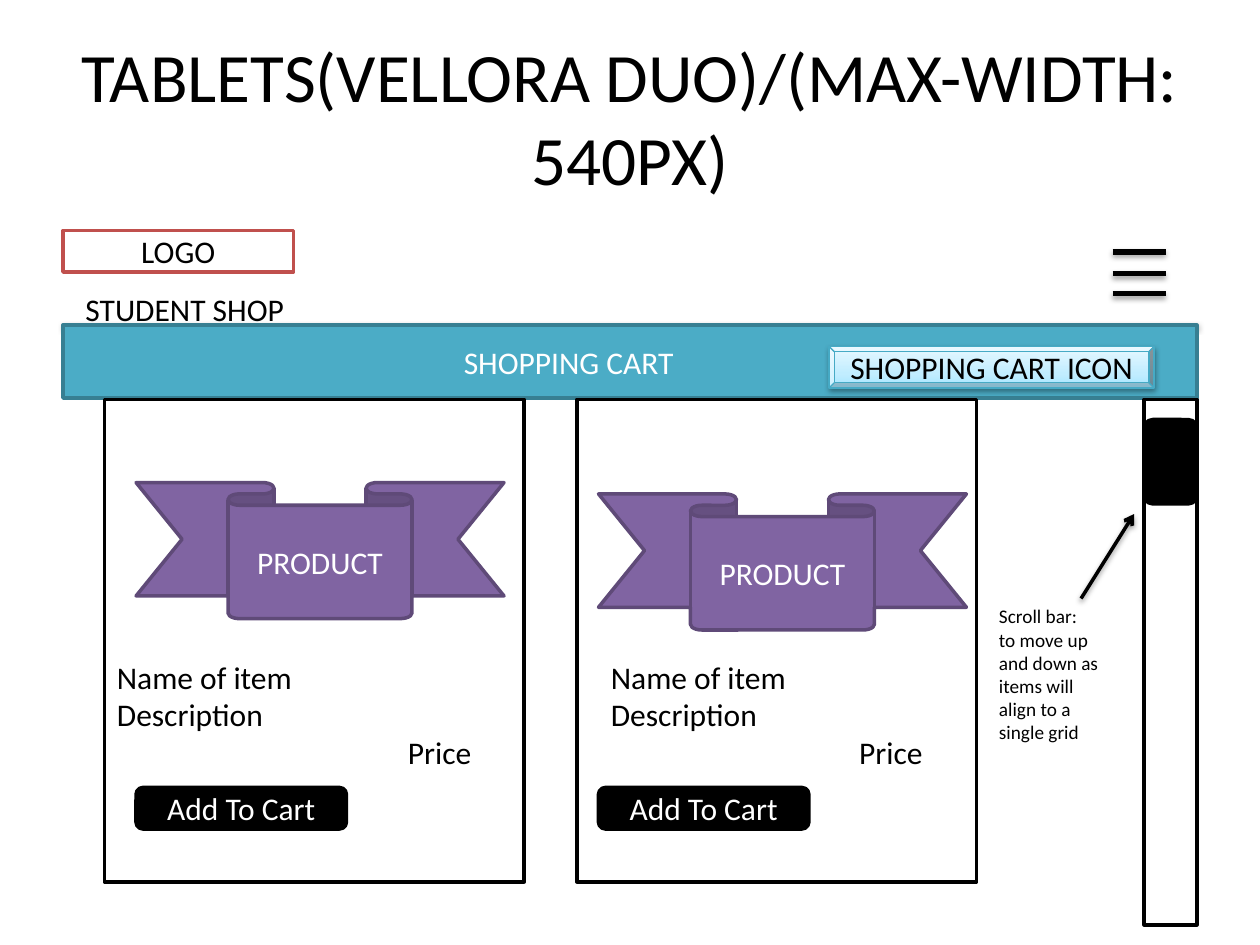
from lxml import etree
from pptx import Presentation
from pptx import util as u
from pptx.dml.color import RGBColor
from pptx.enum import shapes, text
from pptx.oxml import parse_xml
from pptx.oxml.ns import nsdecls, qn

THEME = dict(
    font="Calibri", title=39.6, body=18, note=11,
    black="000000", white="FFFFFF", logo="C0504D",
    bar="4BACC6", bar_line="377F92", icon_line="46AAC5",
    ribbon="8064A2", ribbon_line="5F4A78",
    icon_stops=((0, "A7E6FF"), (35, "C1EDFF"), (100, "E7F8FF")),
)
KIND = shapes.MSO_SHAPE
ALIGN = text.PP_ALIGN
ANCHOR = text.MSO_ANCHOR
SHADOW = (
    f'<a:effectLst {nsdecls("a")}><a:outerShdw blurRad="39400" dist="20300" dir="5400000" rotWithShape="0">'
    '<a:srgbClr val="000000"><a:alpha val="38000"/></a:srgbClr></a:outerShdw></a:effectLst>'
)

deck = Presentation()
deck.slide_width, deck.slide_height = u.Inches(10), u.Inches(7.5)
page = deck.slides.add_slide(deck.slide_layouts[6])


def put(place, lines=(), kind=None, fill="white", line="black", width=2,
        size="body", color="black", align=ALIGN.CENTER, anchor=ANCHOR.MIDDLE):
    area = [u.Inches(value) for value in place]
    if kind is None:
        box = page.shapes.add_textbox(*area)
    else:
        box = page.shapes.add_shape(kind, *area)
        box.shadow.inherit = False
        box.fill.solid()
        box.fill.fore_color.rgb = RGBColor.from_string(THEME[fill])
        box.line.color.rgb = RGBColor.from_string(THEME[line])
        box.line.width = u.Pt(width)
    frame = box.text_frame
    for name, value in dict(word_wrap=True, vertical_anchor=anchor).items():
        setattr(frame, name, value)
    for index, words in enumerate(lines):
        para = frame.paragraphs[0] if index == 0 else frame.add_paragraph()
        para.alignment = align
        span = para.add_run()
        span.text = words
        for name, value in dict(name=THEME["font"], size=u.Pt(THEME[size])).items():
            setattr(span.font, name, value)
        span.font.color.rgb = RGBColor.from_string(THEME[color])
    return box


def draw_line(start, end, width):
    stroke = page.shapes.add_connector(
        shapes.MSO_CONNECTOR.STRAIGHT, *[u.Inches(value) for value in start + end])
    stroke.line.color.rgb = RGBColor.from_string(THEME["black"])
    stroke.line.width = u.Pt(width)
    stroke._element.spPr.append(parse_xml(SHADOW))
    return stroke


put((0.5, 0.3, 9, 1.25), ["TABLETS(VELLORA DUO)/(MAX-WIDTH: 540PX)"], size="title")

draw_line((0.5, 2.58), (9.5, 2.58), 2)
for y in (2, 2.17, 2.33):
    draw_line((8.83, y), (9.25, y), 3)

put((0.5, 1.83, 1.83, 0.33), ["LOGO"], KIND.RECTANGLE, line="logo")
put((0.58, 2.25, 3.33, 0.4), ["STUDENT SHOP"], align=ALIGN.LEFT, anchor=ANCHOR.TOP)

cart_bar = put((0.5, 2.58, 9, 0.58), ["SHOPPING CART"], KIND.RECTANGLE,
               fill="bar", line="bar_line", color="white")
cart_bar.text_frame.margin_right = u.Inches(1.07)

cart_icon = put((6.58, 2.75, 2.58, 0.33), ["SHOPPING CART ICON"], KIND.BEVEL,
                line="icon_line", width=0.75)
cart_icon.fill.gradient()
cart_icon.fill.gradient_angle = 90
stops = cart_icon._element.spPr.find(qn("a:gradFill")).find(qn("a:gsLst"))
for stop in list(stops):
    stops.remove(stop)
for position, color in THEME["icon_stops"]:
    stop = etree.SubElement(stops, qn("a:gs"), pos=str(position * 1000))
    etree.SubElement(stop, qn("a:srgbClr"), val=color)
properties = cart_icon._element.spPr
properties.replace(properties.find(qn("a:effectLst")), parse_xml(SHADOW))

cards = (
    dict(card=(0.83, 3.33), ribbon=(1.08, 3.83), details=(0.83, 3.33), indent=2.31),
    dict(card=(4.58, 3.17), ribbon=(4.75, 3.92), details=(4.75, 2.75), indent=1.97),
)
for card in cards:
    left, width = card["card"]
    put((left, 3.17, width, 3.83), kind=KIND.RECTANGLE)
    ribbon_left, ribbon_top = card["ribbon"]
    put((ribbon_left, ribbon_top, 2.92, 1.08), ["PRODUCT"], KIND.DOWN_RIBBON,
        fill="ribbon", line="ribbon_line", color="white")
    left, width = card["details"]
    details = put((left, 5.17, width, 1.31), ["Name of item", "Description", "Price"],
                  align=ALIGN.LEFT, anchor=ANCHOR.TOP)
    price = details.text_frame.paragraphs[2]
    price._p.get_or_add_pPr().set("marL", str(u.Inches(card["indent"])))
    put((ribbon_left, 6.25, 1.67, 0.33), ["Add To Cart"], KIND.ROUNDED_RECTANGLE,
        fill="black", color="white")

put((9.08, 3.17, 0.42, 4.17), kind=KIND.RECTANGLE)
put((9.08, 3.33, 0.42, 0.67), kind=KIND.ROUNDED_RECTANGLE, fill="black")
put((7.83, 4.75, 1, 1.21),
    ["Scroll bar:", "to move up and down as items will align to a single grid"],
    size="note", align=ALIGN.LEFT, anchor=ANCHOR.TOP)
pointer = draw_line((8.58, 4.75), (9, 4.08), 2)
etree.SubElement(pointer.line._get_or_add_ln(), qn("a:tailEnd"), type="arrow")

deck.save("out.pptx")
